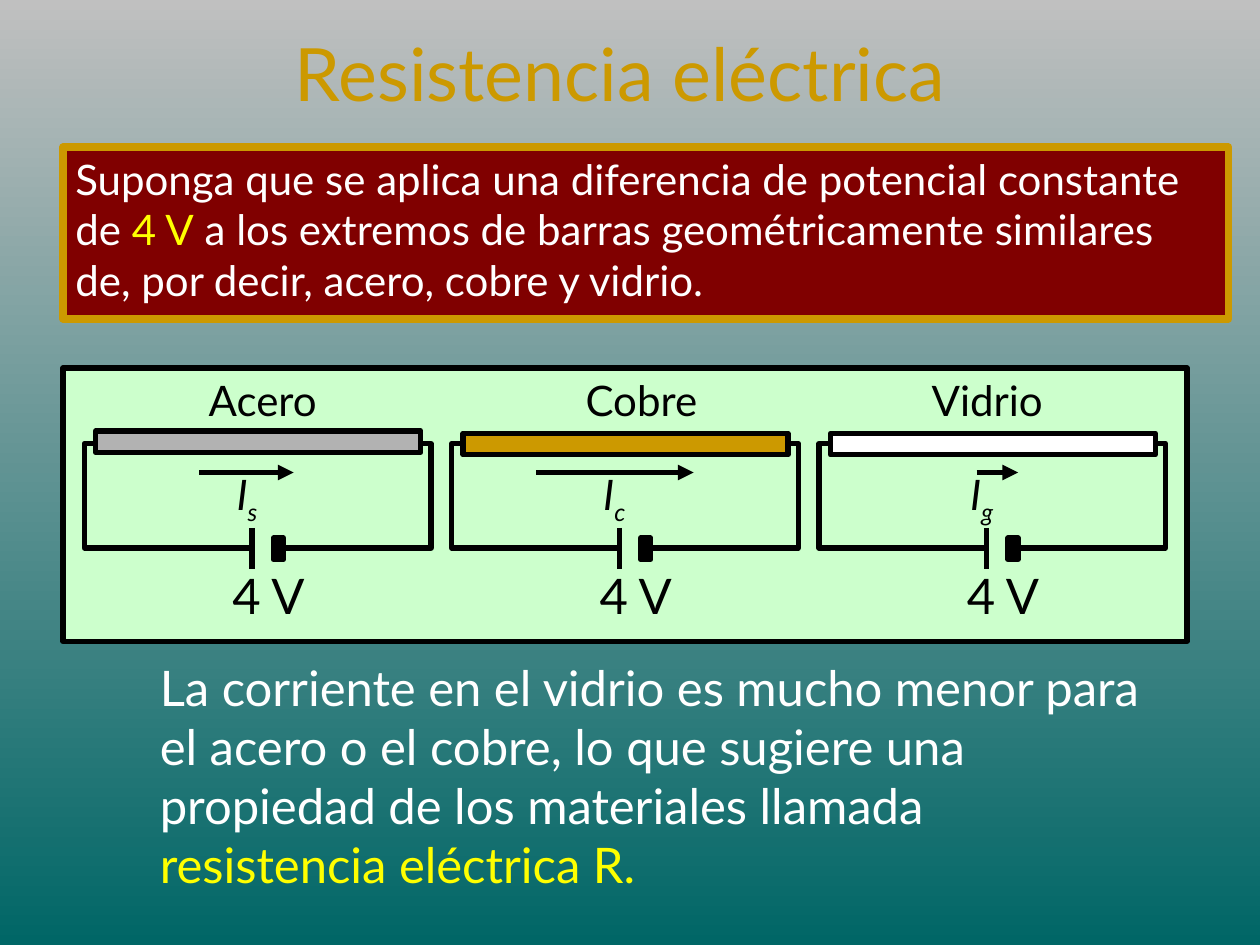
from lxml.etree import SubElement
from pptx import Presentation
from pptx.dml.color import RGBColor
from pptx.enum.shapes import MSO_CONNECTOR, MSO_SHAPE
from pptx.enum.text import MSO_ANCHOR, MSO_AUTO_SIZE, PP_ALIGN
from pptx.oxml.ns import qn
from pptx.util import Inches, Pt

FONT = "Lato"
GOLD = RGBColor(0xCC, 0x99, 0x00)
MAROON = RGBColor(0x80, 0x00, 0x00)
MINT = RGBColor(0xCC, 0xFF, 0xCC)
GRAY = RGBColor(0xB2, 0xB2, 0xB2)
SILVER = RGBColor(0xC0, 0xC0, 0xC0)
TEAL = RGBColor(0x00, 0x66, 0x66)
YELLOW = RGBColor(0xFF, 0xFF, 0x00)
WHITE = RGBColor(0xFF, 0xFF, 0xFF)
BLACK = RGBColor(0x00, 0x00, 0x00)

# Content: runs are (text, format)
TITLE = "Resistencia eléctrica"
PREMISE = [
    ("Suponga que se aplica una diferencia de potencial constante de ", {}),
    ("4 V", {"color": YELLOW}),
    (" a los extremos de barras geométricamente similares de, por decir, "
     "acero, cobre y vidrio.", {}),
]
CONCLUSION = [
    ("La corriente en el vidrio es mucho menor para el acero o el cobre, "
     "lo que sugiere una propiedad de los materiales llamada ", {}),
    ("resistencia eléctrica R.", {"color": YELLOW}),
]
VOLTAGE = "4 V"
# Offsets are measured from the left side of each circuit
CIRCUITS = [
    {"name": "Acero", "name_offset": 0.58, "bar": GRAY, "bar_top": 3.42,
     "current": "s", "arrow": (0.91, 1.66)},
    {"name": "Cobre", "name_offset": 0.67, "bar": GOLD, "bar_top": 3.44,
     "current": "c", "arrow": (0.67, 1.92)},
    {"name": "Vidrio", "name_offset": 0.5, "bar": WHITE, "bar_top": 3.44,
     "current": "g", "arrow": (1.25, 1.58)},
]
FIRST_CIRCUIT, CIRCUIT_PITCH = 0.67, 2.915


def write(shape, runs, size=24, color=BLACK, italic=False,
          align=PP_ALIGN.LEFT, anchor=MSO_ANCHOR.TOP, line_spacing=None):
    frame = shape.text_frame
    frame.word_wrap = True
    frame.auto_size = MSO_AUTO_SIZE.NONE
    frame.vertical_anchor = anchor
    paragraph = frame.paragraphs[0]
    paragraph.alignment = align
    if line_spacing:
        paragraph.line_spacing = line_spacing
    for text, style in runs:
        run = paragraph.add_run()
        run.text = text
        run.font.name = FONT
        run.font.size = Pt(size)
        run.font.italic = italic
        run.font.color.rgb = style.get("color", color)
        if "baseline" in style:
            run.font._element.set("baseline", str(style["baseline"]))


def add_text(slide, box, runs, **style):
    shape = slide.shapes.add_textbox(*map(Inches, box))
    write(shape, runs, **style)


def add_rectangle(slide, box, fill=None, line=BLACK, width=3):
    shape = slide.shapes.add_shape(MSO_SHAPE.RECTANGLE, *map(Inches, box))
    shape.shadow.inherit = False
    if fill is None:
        shape.fill.background()
    else:
        shape.fill.solid()
        shape.fill.fore_color.rgb = fill
    shape.line.color.rgb = line
    shape.line.width = Pt(width)
    return shape


def add_line(slide, start, end, arrow=False):
    connector = slide.shapes.add_connector(
        MSO_CONNECTOR.STRAIGHT, *map(Inches, (*start, *end)))
    connector.line.color.rgb = BLACK
    connector.line.width = Pt(3)
    if arrow:
        SubElement(connector.line._get_or_add_ln(), qn("a:tailEnd"), type="triangle")
    SubElement(connector._element.spPr, qn("a:effectLst"))


def add_circuit(slide, left, circuit):
    # Wire loop, with a gap that holds the battery
    add_rectangle(slide, (left, 3.52, 2.75, 0.83))
    battery = left + 1.33
    add_rectangle(slide, (battery, 4.1, 0.25, 0.5), fill=MINT, line=MINT, width=0.75)
    add_line(slide, (battery, 4.19), (battery, 4.52))
    add_rectangle(slide, (battery + 0.17, 4.27, 0.08, 0.17), fill=BLACK)
    # Bar of material
    add_rectangle(slide, (left + 0.09, circuit["bar_top"], 2.58, 0.17),
                  fill=circuit["bar"])
    # Labels and current arrow
    add_text(slide, (left + 1, 4.44, 0.92, 0.57), [(VOLTAGE, {})],
             size=28, align=PP_ALIGN.CENTER)
    add_text(slide, (left + circuit["name_offset"], 2.92, 1.67, 0.5),
             [(circuit["name"], {})], align=PP_ALIGN.CENTER)
    start, end = circuit["arrow"]
    add_line(slide, (left + start, 3.75), (left + end, 3.75), arrow=True)
    add_text(slide, (left + 1, 3.67, 0.58, 0.5),
             [("I", {}), (circuit["current"], {"baseline": -25000})],
             italic=True, align=PP_ALIGN.CENTER)


def main():
    presentation = Presentation()
    presentation.slide_width, presentation.slide_height = Inches(10), Inches(7.5)
    slide = presentation.slides.add_slide(presentation.slide_layouts[5])

    # Background, from silver at the top to teal at the bottom
    background = slide.background.fill
    background.gradient()
    background.gradient_angle = 270
    for stop, position, color in zip(background.gradient_stops, (0, 1), (SILVER, TEAL)):
        stop.position = position
        stop.color.rgb = color

    # Title
    title = slide.shapes.title
    title.left, title.top, title.width, title.height = map(Inches, (0.92, 0, 8, 1.25))
    write(title, [(TITLE, {})], size=42, color=GOLD, align=PP_ALIGN.CENTER,
          anchor=MSO_ANCHOR.MIDDLE, line_spacing=0.85)

    # Premise
    premise = add_rectangle(slide, (0.5, 1.17, 9.25, 1.36),
                            fill=MAROON, line=GOLD, width=4.5)
    write(premise, PREMISE, color=WHITE)

    # Three circuits on one panel
    add_rectangle(slide, (0.5, 2.92, 8.92, 2.17), fill=MINT)
    for column, circuit in enumerate(CIRCUITS):
        add_circuit(slide, FIRST_CIRCUIT + column * CIRCUIT_PITCH, circuit)

    # Conclusion
    add_text(slide, (1.17, 5.17, 8.08, 1.97), CONCLUSION, size=28, color=WHITE)

    presentation.save("out.pptx")


if __name__ == "__main__":
    main()
